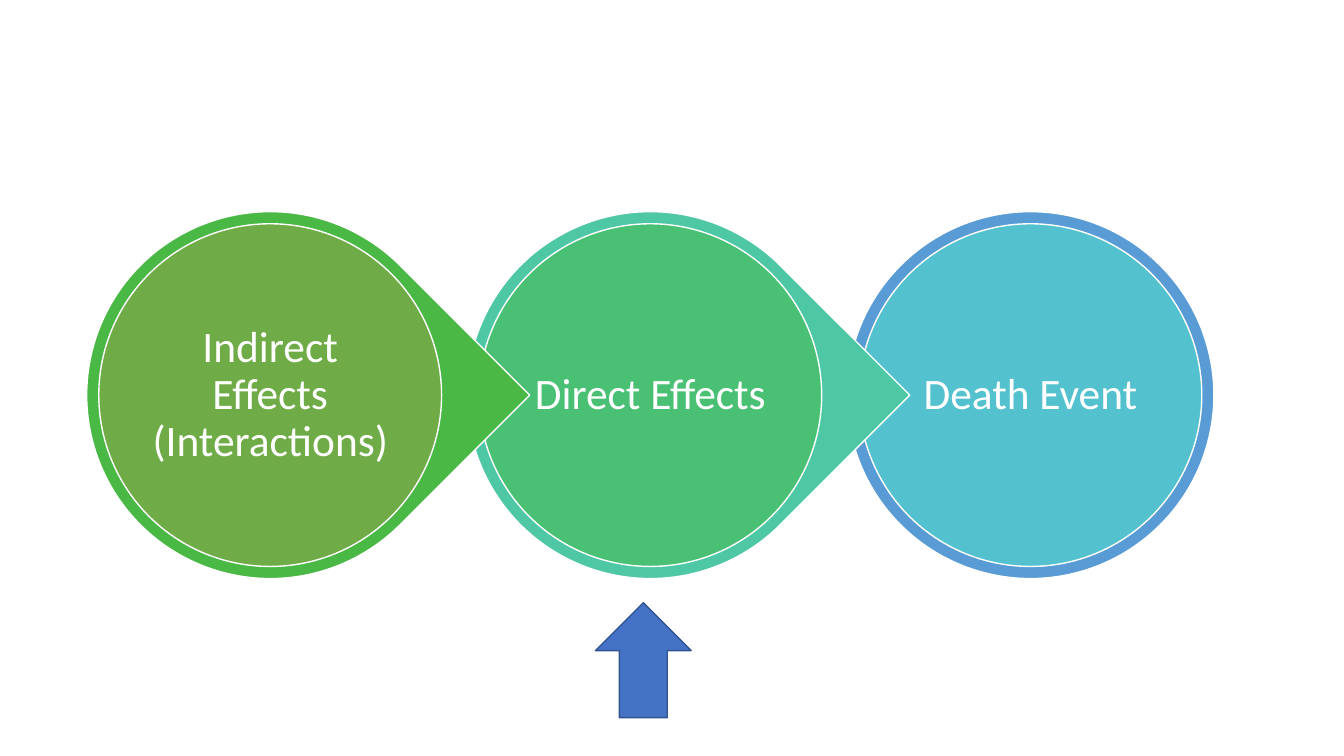
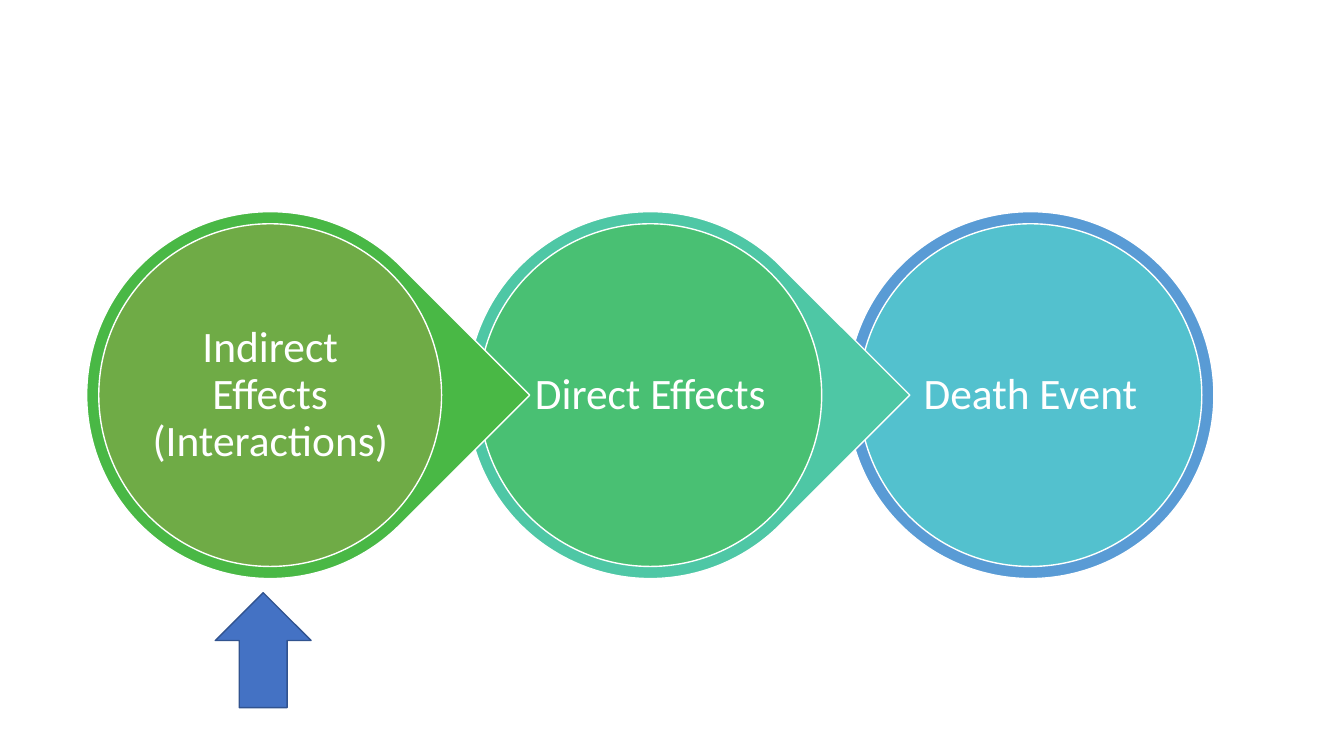
import dataclasses

import pptx
import pptx.dml.color
import pptx.enum.shapes
import pptx.enum.text
import pptx.util

Inches = pptx.util.Inches
SHAPES = pptx.enum.shapes.MSO_SHAPE


@dataclasses.dataclass(frozen=True)
class Theme:
    white: str = "FFFFFF"
    arrow_fill: str = "4472C4"
    arrow_line: str = "31538F"
    font: str = "Calibri"
    label_size: int = 31
    line_width: int = 1


@dataclasses.dataclass(frozen=True)
class Box:
    left: float
    top: float
    width: float
    height: float

    def centred(self, size):
        return Box(self.left + (self.width - size) / 2,
                   self.top + (self.height - size) / 2, size, size)

    def lengths(self):
        return [Inches(value) for value in dataclasses.astuple(self)]


THEME = Theme()
CHAIN = Box(0.86, 2.1, 11.18, 3.64)
DISC_SIZE = 3.4
LABEL_SIZE = 2.43
ARROW_WIDTH, ARROW_HEIGHT = 0.95, 1.14
ARROW_SHIFT = -0.07
STAGES = [
    ("Indirect Effects (Interactions)", SHAPES.TEAR, 45, "49B845", "6FAB46"),
    ("Direct Effects", SHAPES.TEAR, 45, "4EC7A5", "49C073"),
    ("Death Event", SHAPES.OVAL, 0, "599BD5", "53C1CE"),
]
ARROWS = [(1, 0.24), (0, 0.14)]


def colour(code):
    return pptx.dml.color.RGBColor.from_string(code)


def apply_format(target, values):
    for name, value in values.items():
        setattr(target, name, value)


def add_shape(shapes, preset, box, fill, line, rotation=0):
    shape = shapes.add_shape(preset, *box.lengths())
    shape.shadow.inherit = False
    shape.rotation = rotation
    shape.fill.solid()
    shape.fill.fore_color.rgb = colour(fill)
    shape.line.color.rgb = colour(line)
    shape.line.width = pptx.util.Pt(THEME.line_width)


def add_label(shapes, box, text):
    frame = shapes.add_textbox(*box.lengths()).text_frame
    margins = ("margin_left", "margin_top", "margin_right", "margin_bottom")
    apply_format(frame, {
        "word_wrap": True,
        "vertical_anchor": pptx.enum.text.MSO_ANCHOR.MIDDLE,
        **dict.fromkeys(margins, Inches(0.04)),
    })
    para = frame.paragraphs[0]
    apply_format(para, {
        "alignment": pptx.enum.text.PP_ALIGN.CENTER,
        "line_spacing": 0.9,
    })
    span = para.add_run()
    span.text = text
    apply_format(span.font, {
        "name": THEME.font,
        "size": pptx.util.Pt(THEME.label_size),
    })
    span.font.color.rgb = colour(THEME.white)


def stage_box(chain, index):
    pitch = (chain.width - chain.height) / (len(STAGES) - 1)
    return Box(chain.left + index * pitch, chain.top, chain.height, chain.height)


def draw_stage(shapes, box, stage):
    text, preset, rotation, ring_fill, disc_fill = stage
    add_shape(shapes, preset, box, ring_fill, THEME.white, rotation)
    add_shape(shapes, SHAPES.OVAL, box.centred(DISC_SIZE), disc_fill, THEME.white)
    add_label(shapes, box.centred(LABEL_SIZE), text)


def draw_chain(page, chain):
    group = page.shapes.add_group_shape()
    for index, stage in reversed(list(enumerate(STAGES))):
        draw_stage(group.shapes, stage_box(chain, index), stage)


def draw_arrow(page, box, gap):
    left = box.left + (box.width - ARROW_WIDTH) / 2 + ARROW_SHIFT
    arrow = Box(left, box.top + box.height + gap, ARROW_WIDTH, ARROW_HEIGHT)
    add_shape(page.shapes, SHAPES.UP_ARROW, arrow, THEME.arrow_fill, THEME.arrow_line)


def build_stage_slide(deck, active, gap):
    page = deck.slides.add_slide(deck.slide_layouts[6])
    draw_chain(page, CHAIN)
    draw_arrow(page, stage_box(CHAIN, active), gap)


def main():
    deck = pptx.Presentation()
    apply_format(deck, {"slide_width": Inches(13.33), "slide_height": Inches(7.5)})
    for active, gap in ARROWS:
        build_stage_slide(deck, active, gap)
    deck.save("out.pptx")


if __name__ == "__main__":
    main()
